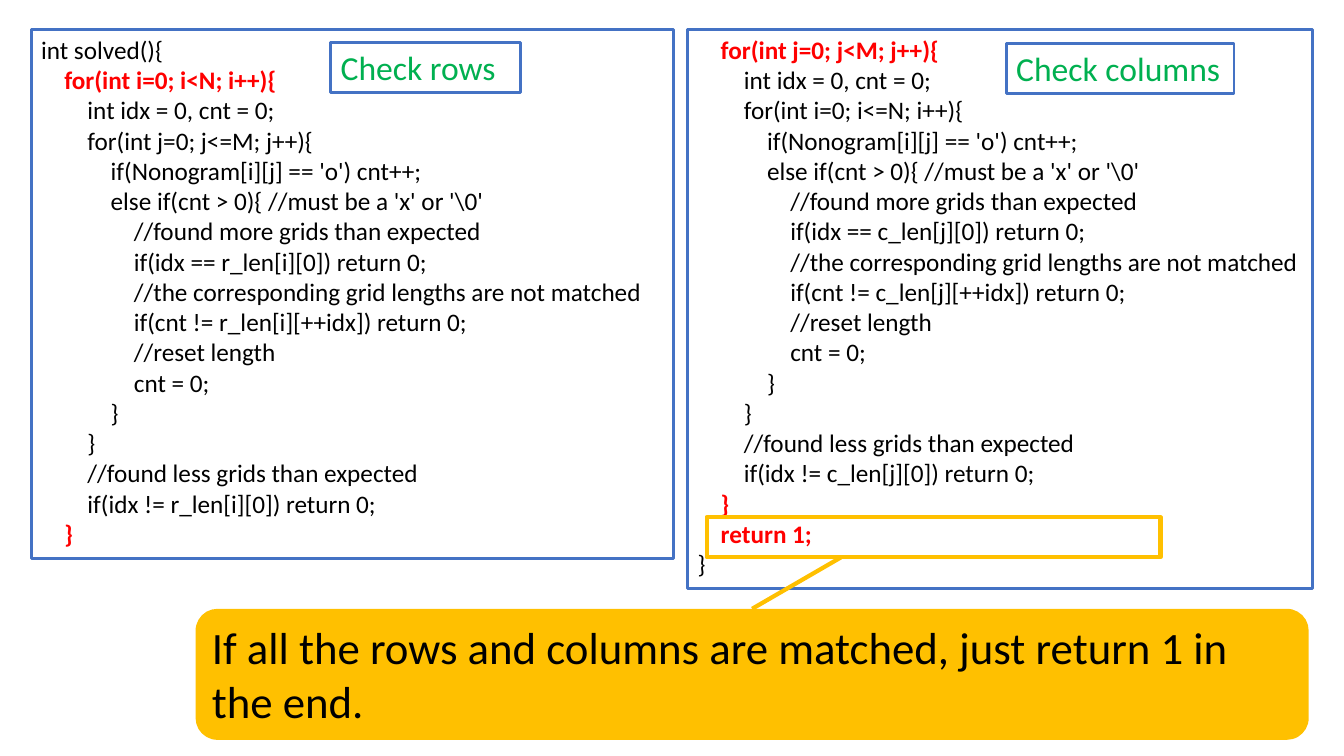
from lxml.etree import SubElement
from pptx import Presentation
from pptx.dml.color import RGBColor
from pptx.enum.shapes import MSO_CONNECTOR as Connector, MSO_SHAPE as Shape
from pptx.enum.text import MSO_ANCHOR as Anchor, PP_ALIGN as Align
from pptx.oxml.ns import qn
from pptx.util import Inches, Pt

BLACK = RGBColor(0x00, 0x00, 0x00)
RED = RGBColor(0xFF, 0x00, 0x00)
GREEN = RGBColor(0x00, 0xB0, 0x50)
BLUE = RGBColor(0x44, 0x72, 0xC4)
GOLD = RGBColor(0xFF, 0xC0, 0x00)
FONT = "Calibri"
INDENT = 0.23


def loop_code(outer, outer_max, inner, inner_max, lengths):
    return [
        (1, f"for(int {outer}=0; {outer}<{outer_max}; {outer}++){{", True),
        (2, "int idx = 0, cnt = 0;", False),
        (2, f"for(int {inner}=0; {inner}<={inner_max}; {inner}++){{", False),
        (3, "if(Nonogram[i][j] == 'o') cnt++;", False),
        (3, "else if(cnt > 0){ //must be a 'x' or '\\0'", False),
        (4, "//found more grids than expected", False),
        (4, f"if(idx == {lengths}[{outer}][0]) return 0;", False),
        (4, "//the corresponding grid lengths are not matched", False),
        (4, f"if(cnt != {lengths}[{outer}][++idx]) return 0;", False),
        (4, "//reset length", False),
        (4, "cnt = 0;", False),
        (3, "}", False),
        (2, "}", False),
        (2, "//found less grids than expected", False),
        (2, f"if(idx != {lengths}[{outer}][0]) return 0;", False),
        (1, "}", True),
    ]


ROWS_CODE = [(0, "int solved(){", False)] + loop_code("i", "N", "j", "M", "r_len")
COLUMNS_CODE = loop_code("j", "M", "i", "N", "c_len") + [
    (1, "return 1;", True),
    (0, "}", False),
]


def add_box(slide, box, line=None, width=2, fill=None, kind=Shape.RECTANGLE):
    frame = slide.shapes.add_shape(kind, *map(Inches, box))
    frame.shadow.inherit = False
    if fill is None:
        frame.fill.background()
    else:
        frame.fill.solid()
        frame.fill.fore_color.rgb = fill
    if line is None:
        frame.line.fill.background()
    else:
        frame.line.color.rgb = line
        frame.line.width = Pt(width)
    frame.text_frame.word_wrap = True
    frame.text_frame.vertical_anchor = Anchor.TOP
    return frame


def format_paragraph(paragraph, size, color, bold=False):
    paragraph.alignment = Align.LEFT
    for run in paragraph.runs:
        run.font.name = FONT
        run.font.size = Pt(size)
        run.font.bold = bold
        run.font.color.rgb = color


def add_label(slide, box, text, size, color, **style):
    label = add_box(slide, box, **style)
    label.text_frame.text = text
    format_paragraph(label.text_frame.paragraphs[0], size, color)


def add_code_panel(slide, box, code):
    panel = add_box(slide, box, BLUE).text_frame
    panel.text = "\n".join(text for _, text, _ in code)
    for paragraph, (level, _, key) in zip(panel.paragraphs, code):
        format_paragraph(paragraph, 18, RED if key else BLACK, key)
        properties = paragraph._p.get_or_add_pPr()
        properties.set("marL", str(Inches(level * INDENT)))
        properties.set("indent", "0")


def add_check(slide, box, code, title, title_box):
    left, top, _, _ = box
    dx, dy, width, height = title_box
    add_code_panel(slide, box, code)
    add_label(slide, (left + dx, top + dy, width, height), title, 24, GREEN, line=BLUE)


def add_return_note(slide, highlight, note, text):
    left, top, width, height = highlight
    note_left, note_top, note_width, _ = note
    add_box(slide, highlight, GOLD, 3)
    ends = (left + 1.33, top + height, note_left + note_width / 2, note_top)
    pointer = slide.shapes.add_connector(Connector.STRAIGHT, *map(Inches, ends))
    pointer.line.color.rgb = GOLD
    pointer.line.width = Pt(3)
    SubElement(pointer._element.spPr, qn("a:effectLst"))
    add_label(slide, note, text, 32, BLACK, fill=GOLD, kind=Shape.ROUNDED_RECTANGLE)


def main():
    deck = Presentation()
    deck.slide_width, deck.slide_height = Inches(13.33), Inches(7.5)
    slide = deck.slides.add_slide(deck.slide_layouts[6])
    add_check(slide, (0.31, 0.29, 6.37, 5.25), ROWS_CODE,
              "Check rows", (2.97, 0.13, 1.88, 0.5))
    add_check(slide, (6.82, 0.29, 6.2, 5.55), COLUMNS_CODE,
              "Check columns", (3.16, 0.14, 2.26, 0.5))
    add_return_note(slide, (7.01, 5.13, 4.5, 0.4), (1.94, 6.04, 11.04, 1.3),
                    "If all the rows and columns are matched, just return 1 in the end.")
    deck.save("out.pptx")


if __name__ == "__main__":
    main()
